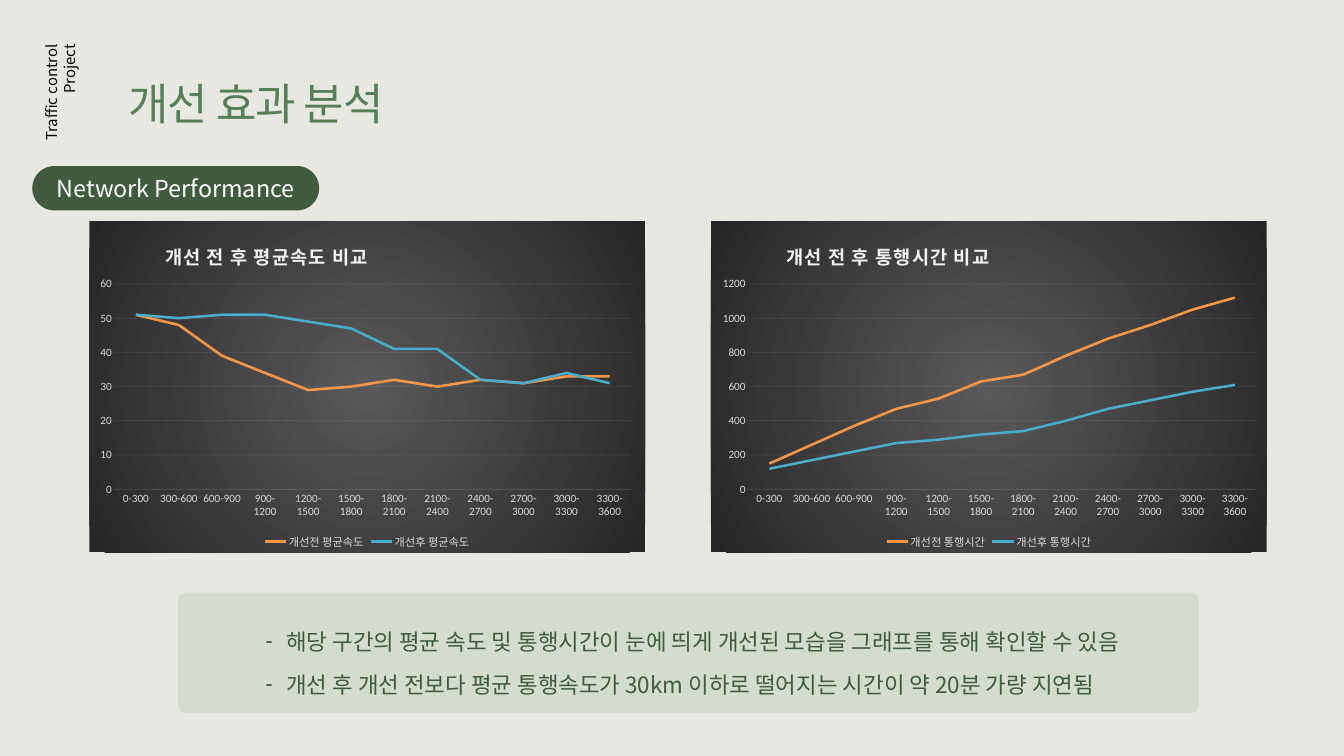
from lxml import etree
from pptx import Presentation
from pptx.chart.data import CategoryChartData
from pptx.dml.color import RGBColor
from pptx.enum.chart import XL_CHART_TYPE, XL_LEGEND_POSITION, XL_MARKER_STYLE, XL_TICK_MARK
from pptx.enum.shapes import MSO_SHAPE
from pptx.enum.text import MSO_ANCHOR, MSO_AUTO_SIZE, PP_ALIGN
from pptx.oxml import parse_xml
from pptx.oxml.ns import nsdecls, qn
from pptx.util import Inches, Pt

LINE = XL_CHART_TYPE.LINE
BOTTOM = XL_LEGEND_POSITION.BOTTOM
NO_MARKER = XL_MARKER_STYLE.NONE
NO_TICK = XL_TICK_MARK.NONE
ROUNDED = MSO_SHAPE.ROUNDED_RECTANGLE
TOP, MIDDLE = MSO_ANCHOR.TOP, MSO_ANCHOR.MIDDLE
GROW = MSO_AUTO_SIZE.SHAPE_TO_FIT_TEXT
LEFT, CENTER, RIGHT, JUSTIFY = PP_ALIGN.LEFT, PP_ALIGN.CENTER, PP_ALIGN.RIGHT, PP_ALIGN.JUSTIFY

FONT = "Noto Sans CJK KR"
CHART_FONT = "Calibri"
COLORS = {
    name: RGBColor.from_string(value)
    for name, value in {
        "paper": "E7E8E2", "heading": "5A7D59", "forest": "415A40", "sage": "AFC6AE",
        "white": "FFFFFF", "black": "000000", "label": "D9D9D9", "grid": "F2F2F2",
        "before": "F79646", "after": "4BACC6",
    }.items()
}

deck = Presentation()
deck.slide_width, deck.slide_height = Inches(20), Inches(11.25)
slide = deck.slides.add_slide(deck.slide_layouts[1])
slide.background.fill.solid()
slide.background.fill.fore_color.rgb = COLORS["paper"]


def share(left, top, width, height):
    across, down = deck.slide_width / 100, deck.slide_height / 100
    return round(left * across), round(top * down), round(width * across), round(height * down)


def style(paragraph, size, color, align, name=FONT):
    paragraph.alignment = align
    paragraph.font.name = name
    paragraph.font.size = Pt(size)
    paragraph.font.color.rgb = COLORS[color]


heading = slide.shapes.title
heading.left, heading.top, heading.width, heading.height = share(9.05, 9.69, 45.15, 7.91)
heading.text_frame.text = "개선 효과 분석"
heading.text_frame.vertical_anchor = TOP
heading.text_frame.auto_size = GROW
style(heading.text_frame.paragraphs[0], 47, "heading", LEFT)
for defaults in heading.element.iter(qn("a:defRPr")):
    defaults.set("spc", "-100")

badge = slide.shapes.add_shape(ROUNDED, *share(2.4, 21.96, 21.35, 5.87))
badge.adjustments[0] = 0.5
badge.shadow.inherit = False
badge.fill.solid()
badge.fill.fore_color.rgb = COLORS["forest"]
badge.line.fill.background()
badge.text_frame.text = "Network Performance"
badge.text_frame.vertical_anchor = MIDDLE
style(badge.text_frame.paragraphs[0], 25, "white", CENTER)

project = slide.shapes.add_textbox(*share(-1.65, 13.16, 12.4, 5.69))
project.rotation = 270
project.text_frame.word_wrap = True
project.text_frame.auto_size = GROW
project.text_frame.text = "Traffic control\nProject"
for paragraph in project.text_frame.paragraphs:
    style(paragraph, 16, "black", RIGHT)

periods = [f"{start}-{start + 300}" for start in range(0, 3600, 300)]
comparisons = [
    ("평균속도", 6.65, 60, 10, (0.045, 0.93),
     [51, 48, 39, 34, 29, 30, 32, 30, 32, 31, 33, 33],
     [51, 50, 51, 51, 49, 47, 41, 41, 32, 31, 34, 31]),
    ("통행시간", 52.9, 1200, 200, (0.067, 0.914),
     [150, 260, 370, 470, 530, 630, 670, 780, 880, 960, 1050, 1120],
     [120, 170, 220, 270, 290, 320, 340, 400, 470, 520, 570, 610]),
]
for measure, left, maximum, step, (plot_left, plot_width), before, after in comparisons:
    data = CategoryChartData()
    data.categories = periods
    data.add_series(f"개선전 {measure}", before)
    data.add_series(f"개선후 {measure}", after)
    chart = slide.shapes.add_chart(LINE, *share(left, 29.24, 41.35, 43.82), data).chart
    chart.font.name = CHART_FONT
    chart.font.size = Pt(10)
    chart.font.color.rgb = COLORS["black"]

    chart.plots[0].vary_by_categories = False
    for series, color in zip(chart.plots[0].series, ("before", "after")):
        series.smooth = False
        series.marker.style = NO_MARKER
        series.format.line.width = Pt(2.75)
        series.format.line.color.rgb = COLORS[color]

    periods_axis, values_axis = chart.category_axis, chart.value_axis
    values_axis.minimum_scale, values_axis.maximum_scale = 0, maximum
    values_axis.major_unit = step
    values_axis.has_major_gridlines = True
    for rule in (periods_axis.format.line, values_axis.major_gridlines.format.line):
        rule.width = Pt(0.75)
        rule.color.rgb = COLORS["grid"]
    values_axis.format.line.fill.background()
    for tone in chart.element.iter(qn("a:srgbClr")):
        if tone.get("val") == str(COLORS["grid"]):
            etree.SubElement(tone, qn("a:alpha")).set("val", "10000")

    chart.has_legend = True
    chart.legend.position = BOTTOM
    chart.legend.include_in_layout = False
    for axis in (periods_axis, values_axis):
        axis.major_tick_mark = axis.minor_tick_mark = NO_TICK
    for font in (periods_axis.tick_labels.font, values_axis.tick_labels.font, chart.legend.font):
        font.name = CHART_FONT
        font.size = Pt(12)
        font.color.rgb = COLORS["label"]

    chart.has_title = True
    caption = chart.chart_title.text_frame
    caption.text = f"개선 전 후 {measure} 비교"
    style(caption.paragraphs[0], 20, "grid", CENTER, CHART_FONT)
    caption.paragraphs[0].font.bold = True
    chart.chart_title.include_in_layout = False
    title_part = chart.element.find(f".//{qn('c:title')}")
    for defaults in title_part.iter(qn("a:defRPr")):
        defaults.set("spc", "100")

    plot_part = chart.element.find(f".//{qn('c:plotArea')}")
    placements = [
        (title_part, 1, {"xMode": "edge", "yMode": "edge", "x": 0.13, "y": 0.05}),
        (plot_part, 0, {"layoutTarget": "inner", "xMode": "edge", "yMode": "edge",
                        "x": plot_left, "y": 0.19, "w": plot_width, "h": 0.62}),
    ]
    for part, position, settings in placements:
        for automatic in part.findall(qn("c:layout")):
            part.remove(automatic)
        layout = parse_xml(f"<c:layout {nsdecls('c')}><c:manualLayout/></c:layout>")
        for key, value in settings.items():
            etree.SubElement(layout[0], qn(f"c:{key}")).set("val", str(value))
        part.insert(position, layout)

    chart.element.find(qn("c:chart")).addnext(parse_xml(
        f'<c:spPr {nsdecls("c", "a")}><a:gradFill><a:gsLst>'
        '<a:gs pos="0"><a:srgbClr val="595959"/></a:gs>'
        '<a:gs pos="100000"><a:srgbClr val="262626"/></a:gs></a:gsLst>'
        '<a:path path="circle"><a:fillToRect l="50000" t="50000" r="50000" b="50000"/></a:path>'
        '</a:gradFill><a:ln><a:noFill/></a:ln></c:spPr>'
    ))

panel = slide.shapes.add_shape(ROUNDED, *share(13.25, 78.4, 75.95, 15.91))
panel.adjustments[0] = 0.06
panel.shadow.inherit = False
panel.fill.solid()
panel.fill.fore_color.rgb = COLORS["sage"]
panel.line.fill.background()
panel_tone = panel.element.spPr.find(f".//{qn('a:srgbClr')}")
etree.SubElement(panel_tone, qn("a:alpha")).set("val", "35000")

findings = slide.placeholders[1]
slide.shapes.element.append(findings.element)
findings.left, findings.top, findings.width, findings.height = share(18.7, 80.44, 70.9, 11.82)
findings.text_frame.text = (
    "해당 구간의 평균 속도 및 통행시간이 눈에 띄게 개선된 모습을 그래프를 통해 확인할 수 있음\n"
    "개선 후 개선 전보다 평균 통행속도가 30km 이하로 떨어지는 시간이 약 20분 가량 지연됨"
)
findings.text_frame.vertical_anchor = TOP
findings.text_frame.auto_size = GROW
for paragraph in findings.text_frame.paragraphs:
    paragraph.line_spacing = 1.6
    paragraph.space_before = Pt(0)
    properties = paragraph._p.get_or_add_pPr()
    properties.set("marL", str(Inches(0.42)))
    properties.set("indent", str(Inches(-0.31)))
    etree.SubElement(properties, qn("a:buChar")).set("char", "-")
    style(paragraph, 24, "forest", JUSTIFY)

for latin in list(slide.shapes.element.iter(qn("a:latin"))):
    east_asian = etree.Element(qn("a:ea"))
    east_asian.set("typeface", FONT)
    latin.addnext(east_asian)

deck.save("out.pptx")
